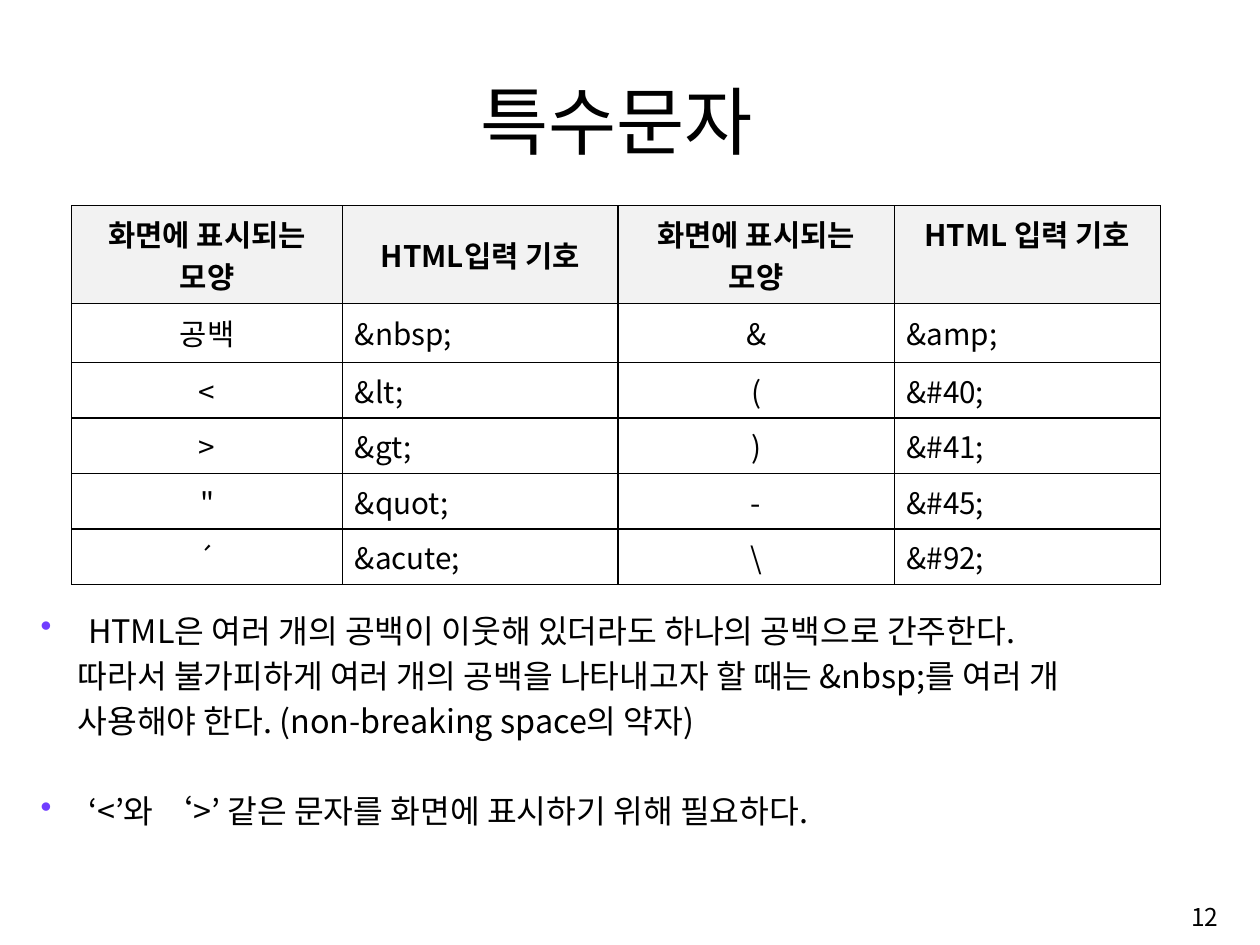
from lxml.etree import SubElement
from pptx import Presentation
from pptx.dml.color import RGBColor
from pptx.enum.text import MSO_ANCHOR, PP_ALIGN
from pptx.oxml import parse_xml
from pptx.oxml.ns import nsdecls, qn
from pptx.util import Pt

FONT = "Noto Sans CJK KR"
BLACK, HEADER_FILL, BULLET = "000000", "F2F2F2", "703DFF"
COLUMN_WIDTHS = (201, 204.5, 205, 197.5)
ROW_HEIGHTS = (72.5, 44, 41.2, 41.2, 41.2, 41.2)
ROWS = (
    ("화면에 표시되는 모양", "HTML입력 기호", "화면에 표시되는 모양", "HTML 입력 기호"),
    ("공백", "&nbsp;", "&", "&amp;"),
    ("<", "&lt;", "(", "&#40;"),
    (">", "&gt;", ")", "&#41;"),
    ('"', "&quot;", "-", "&#45;"),
    ("´", "&acute;", "\\", "&#92;"),
)
NOTES = (
    ("HTML은 여러 개의 공백이 이웃해 있더라도 하나의 공백으로 간주한다.", True, 0),
    ("따라서 불가피하게 여러 개의 공백을 나타내고자 할 때는 &nbsp;를 여러 개", False, 0),
    ("사용해야 한다. (non-breaking space의 약자)", False, 0),
    ("‘<’와 ‘>’ 같은 문자를 화면에 표시하기 위해 필요하다.", True, 33.5),
)


def color(value):
    """Turn a hex string into a colour."""
    return RGBColor.from_string(value)


def write(paragraph, text, size, align=PP_ALIGN.LEFT, bold=False):
    """Fill a paragraph with text in the slide's font."""
    paragraph.text = text
    paragraph.alignment = align
    font = paragraph.font
    font.size, font.bold, font.name = Pt(size), bold, FONT
    font.color.rgb = color(BLACK)
    properties = paragraph._p.pPr.find(qn("a:defRPr"))
    SubElement(properties, qn("a:ea"), typeface=FONT)


def add_text_frame(slide, box, anchor=MSO_ANCHOR.TOP):
    """Add a wrapping text box and return its frame."""
    frame = slide.shapes.add_textbox(*map(Pt, box)).text_frame
    frame.word_wrap = True
    frame.vertical_anchor = anchor
    return frame


def add_title(slide, box):
    """Place the centred title at the bottom of its box."""
    frame = add_text_frame(slide, box, MSO_ANCHOR.BOTTOM)
    frame.margin_bottom = 0
    write(frame.paragraphs[0], "특수문자", 55, PP_ALIGN.CENTER)


def add_borders(cell):
    """Draw a thin black line on all four sides of a cell."""
    properties = cell._tc.get_or_add_tcPr()
    for side in "LRTB":
        properties.append(parse_xml(
            f'<a:ln{side} {nsdecls("a")} w="12700"><a:solidFill>'
            f'<a:srgbClr val="{BLACK}"/></a:solidFill></a:ln{side}>'))


def add_symbol_table(slide, left, top):
    """Place the table of symbols and their HTML codes."""
    size = sum(COLUMN_WIDTHS), sum(ROW_HEIGHTS)
    table = slide.shapes.add_table(
        len(ROWS), len(COLUMN_WIDTHS), *map(Pt, (left, top, *size))).table
    table.first_row = table.horz_banding = False
    for column, width in zip(table.columns, COLUMN_WIDTHS):
        column.width = Pt(width)
    for row_index, (row, height) in enumerate(zip(table.rows, ROW_HEIGHTS)):
        row.height = Pt(height)
        is_header = row_index == 0
        for column_index, cell in enumerate(row.cells):
            text = ROWS[row_index][column_index]
            centred = is_header or column_index % 2 == 0
            cell.margin_left = cell.margin_right = Pt(9.2)
            cell.margin_top = cell.margin_bottom = Pt(4.6)
            cell.vertical_anchor = MSO_ANCHOR.MIDDLE
            add_borders(cell)
            if is_header:
                cell.fill.solid()
                cell.fill.fore_color.rgb = color(HEADER_FILL)
            else:
                cell.fill.background()
            write(cell.text_frame.paragraphs[0], text, 20 if text == "´" else 22,
                  PP_ALIGN.CENTER if centred else PP_ALIGN.LEFT, is_header)
    table.cell(0, 3).vertical_anchor = MSO_ANCHOR.TOP


def add_notes(slide, box):
    """Place the bulleted remarks below the table."""
    frame = add_text_frame(slide, box)
    for index, (text, bulleted, gap) in enumerate(NOTES):
        paragraph = frame.add_paragraph() if index else frame.paragraphs[0]
        write(paragraph, text, 24)
        paragraph.line_spacing = Pt(33.5)
        paragraph.space_before = Pt(gap)
        properties = paragraph._p.pPr
        properties.set("marL", str(Pt(35.3 if bulleted else 27.5)))
        if bulleted:
            properties.set("indent", str(Pt(-35.3)))
            defaults = properties.find(qn("a:defRPr"))
            defaults.addprevious(parse_xml(
                f'<a:buClr {nsdecls("a")}><a:srgbClr val="{BULLET}"/></a:buClr>'))
            defaults.addprevious(parse_xml(f'<a:buChar {nsdecls("a")} char="•"/>'))


def add_page_number(slide, box):
    """Place the page number at the right of its box."""
    frame = add_text_frame(slide, box, MSO_ANCHOR.MIDDLE)
    write(frame.paragraphs[0], "12", 18.2, PP_ALIGN.RIGHT)


def main():
    """Build and save the slide."""
    presentation = Presentation()
    presentation.slide_width, presentation.slide_height = Pt(935.3), Pt(701.3)
    slide = presentation.slides.add_slide(presentation.slide_layouts[6])
    add_title(slide, (75.6, 44, 764, 77.8))
    add_notes(slide, (23, 445, 887, 199.4))
    add_symbol_table(slide, 53.3, 152.6)
    add_page_number(slide, (718.6, 658.8, 193, 43.2))
    presentation.save("out.pptx")


if __name__ == "__main__":
    main()
